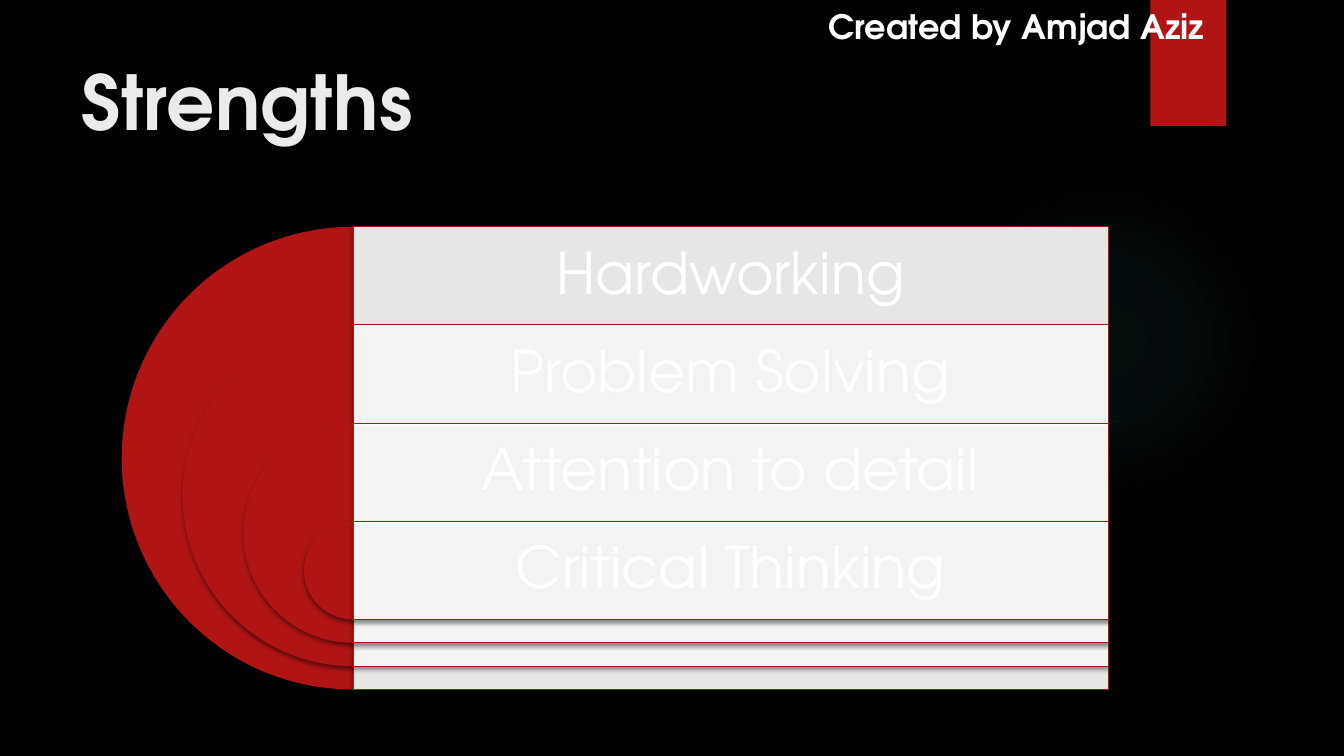
from lxml.etree import SubElement
from pptx import Presentation
from pptx.dml.color import RGBColor
from pptx.enum.shapes import MSO_SHAPE
from pptx.enum.text import MSO_ANCHOR, PP_ALIGN
from pptx.oxml.ns import qn
from pptx.util import Pt

FONT = "TeX Gyre Adventor"
RED = "B01513"
WHITE = "FFFFFF"
STRENGTHS = ["Hardworking", "Problem Solving", "Attention to detail", "Critical Thinking"]
CENTER_X = 252.2
STACK_TOP = 162
BAND_HEIGHT = 70.1
BAND_WIDTH = 539.3
LARGEST_DIAMETER = 330.5
DIAMETER_STEP = 86.8


def color(value):
    return RGBColor.from_string(value)


def add_color(parent, value, opacity):
    node = SubElement(parent, qn("a:srgbClr"), val=value)
    SubElement(node, qn("a:alpha"), val=str(opacity * 1000))


def add_shape(page, kind, left, top, width, height, fill=RED):
    shape = page.shapes.add_shape(kind, Pt(left), Pt(top), Pt(width), Pt(height))
    shape.shadow.inherit = False
    shape.fill.solid()
    shape.fill.fore_color.rgb = color(fill)
    shape.line.fill.background()
    return shape


def add_shadow(shape):
    effects = shape.element.spPr.find(qn("a:effectLst"))
    shadow = SubElement(effects, qn("a:outerShdw"), blurRad=str(Pt(3)),
                        dist=str(Pt(2)), dir="5400000", rotWithShape="0")
    add_color(shadow, "000000", 45)


def add_glow(page):
    glow = add_shape(page, MSO_SHAPE.OVAL, 677.5, 131.8, 221.8, 221.8)
    properties = glow.element.spPr
    gradient = SubElement(properties, qn("a:gradFill"))
    stops = SubElement(gradient, qn("a:gsLst"))
    for position, opacity in [(0, 7), (36, 6), (69, 0)]:
        stop = SubElement(stops, qn("a:gs"), pos=str(position * 1000))
        add_color(stop, "50B9C1", opacity)
    shade = SubElement(gradient, qn("a:path"), path="circle")
    SubElement(shade, qn("a:fillToRect"), l="50000", t="50000", r="50000", b="50000")
    properties.replace(properties.find(qn("a:solidFill")), gradient)


def add_text(page, text, left, top, width, height, size, ink=WHITE, bold=False):
    box = page.shapes.add_textbox(Pt(left), Pt(top), Pt(width), Pt(height))
    frame = box.text_frame
    frame.word_wrap = True
    span = frame.paragraphs[0].add_run()
    span.text = text
    span.font.name = FONT
    span.font.size = Pt(size)
    span.font.bold = bold
    span.font.color.rgb = color(ink)
    return frame


def add_pie(page, top, diameter):
    pie = add_shape(page, MSO_SHAPE.PIE, CENTER_X - diameter / 2, top, diameter, diameter)
    pie.adjustments[0] = 54
    pie.adjustments[1] = 162
    add_shadow(pie)


def add_panel(page, top, height):
    panel = add_shape(page, MSO_SHAPE.RECTANGLE, CENTER_X, top, BAND_WIDTH, height, WHITE)
    add_shadow(panel)
    panel.line.color.rgb = color(RED)
    panel.line.width = Pt(0.75)
    fill = panel.element.spPr.find(qn("a:solidFill"))
    SubElement(fill[0], qn("a:alpha"), val="90000")


def add_label(page, text, top):
    frame = add_text(page, text, CENTER_X, top, BAND_WIDTH, BAND_HEIGHT, 41)
    frame.vertical_anchor = MSO_ANCHOR.MIDDLE
    frame.margin_left = frame.margin_right = Pt(12.3)
    frame.margin_top = frame.margin_bottom = Pt(12.3)
    para = frame.paragraphs[0]
    para.alignment = PP_ALIGN.CENTER
    para.line_spacing = 0.9
    para.space_after = Pt(14)


def add_strength(page, index, text):
    top = STACK_TOP + BAND_HEIGHT * index
    diameter = LARGEST_DIAMETER - DIAMETER_STEP * index
    add_pie(page, top, diameter)
    add_panel(page, top, diameter)
    add_label(page, text, top)


def main():
    deck = Presentation()
    deck.slide_width = Pt(960)
    deck.slide_height = Pt(540)
    page = deck.slides.add_slide(deck.slide_layouts[6])
    page.background.fill.solid()
    page.background.fill.fore_color.rgb = color("000000")

    add_glow(page)
    ribbon = add_shape(page, MSO_SHAPE.RECTANGLE, 821.8, 0, 54, 90)
    add_shadow(ribbon)
    add_text(page, "Created by Amjad Aziz", 584.6, 0.7, 315.4, 36, 24, bold=True)
    add_text(page, "Strengths", 51, 36, 741, 110, 54, "EBEBEB", True)
    for index, text in enumerate(STRENGTHS):
        add_strength(page, index, text)

    deck.save("out.pptx")


if __name__ == "__main__":
    main()
